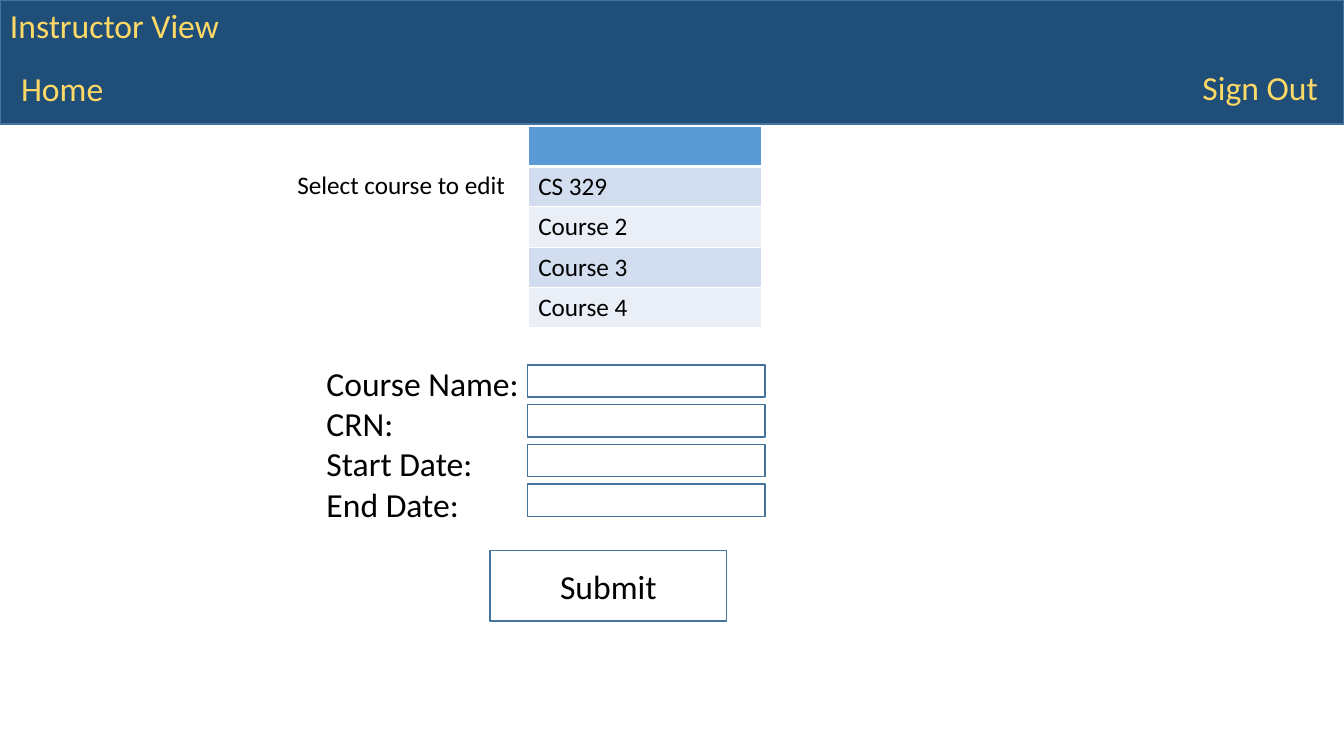
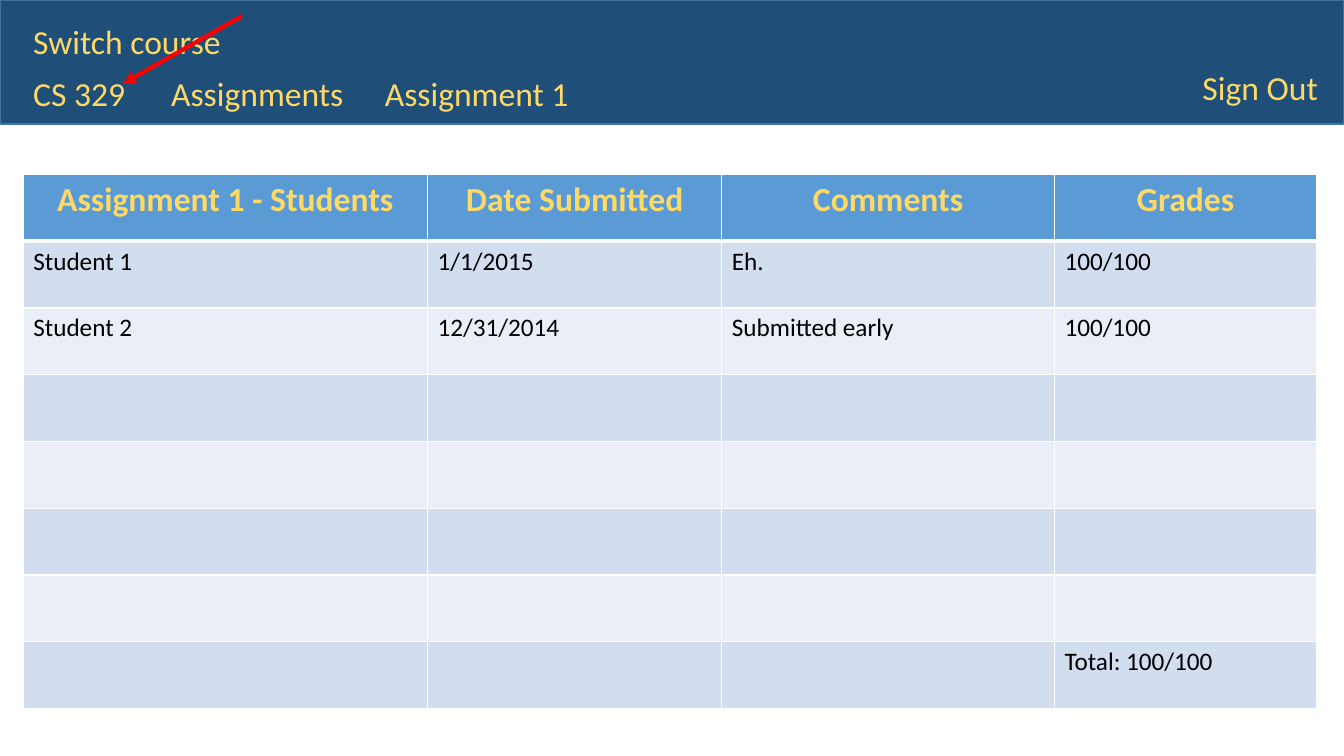
"""Build the instructor's course form and assignment grade slides."""
import pptx
import pptx.util
import pptx.dml.color
import pptx.enum.shapes
import pptx.enum.text
import pptx.oxml
import pptx.oxml.ns
import lxml.etree

COLORS = {
    "band": "1F4E79", "outline": "43739E", "gold": "FFD966", "text": "000000",
    "header": "5B9BD5", "odd": "D2DEEF", "even": "EAEFF7", "white": "FFFFFF", "arrow": "FF0000",
}
RGB = {name: pptx.dml.color.RGBColor.from_string(value) for name, value in COLORS.items()}
ALIGN = pptx.enum.text.PP_ALIGN
SHAPE = pptx.enum.shapes.MSO_SHAPE

prs = pptx.Presentation()
prs.slide_width = pptx.util.Inches(13.33)
prs.slide_height = pptx.util.Inches(7.5)
col, row = prs.slide_width / 100, prs.slide_height / 100


def write(tf, text, size=24, color="text", bold=False, align=ALIGN.LEFT):
    for i, line in enumerate(text.split("\n")):
        p = tf.add_paragraph() if i else tf.paragraphs[0]
        p.alignment = align
        r = p.add_run()
        r.text = line
        r.font.name = "Calibri"
        r.font.size = pptx.util.Pt(size)
        r.font.bold = bold
        r.font.color.rgb = RGB[color]


def add_table(s, x, y, widths, height, rows):
    frame = s.shapes.add_table(len(rows), len(widths), int(x * col), int(y * row),
                               int(sum(widths) * col), int(height * len(rows) * row))
    table = frame.table
    for column, width in zip(table.columns, widths):
        column.width = int(width * col)
    for i, texts in enumerate(rows):
        table.rows[i].height = int(height * row)
        for j, text in enumerate(texts):
            cell = table.cell(i, j)
            tcPr = cell._tc.get_or_add_tcPr()
            for side in "LRTB":
                heavy = (i, side) in ((0, "B"), (1, "T"))
                ln = lxml.etree.SubElement(tcPr, pptx.oxml.ns.qn(f"a:ln{side}"))
                ln.set("w", str(pptx.util.Pt(3 if heavy else 1)))
                fill = lxml.etree.SubElement(ln, pptx.oxml.ns.qn("a:solidFill"))
                lxml.etree.SubElement(fill, pptx.oxml.ns.qn("a:srgbClr")).set("val", COLORS["white"])
            cell.fill.solid()
            cell.fill.fore_color.rgb = RGB["header" if i == 0 else "odd" if i % 2 else "even"]
            if text and i == 0:
                write(cell.text_frame, text, color="gold", bold=True, align=ALIGN.CENTER)
            elif text:
                write(cell.text_frame, text, size=18)


form, grades = [prs.slides.add_slide(prs.slide_layouts[6]) for _ in range(2)]

band = (0, 0, 100, 16.4)
fields = [(39.23, 48.27 + 5.25 * i, 17.7, 4.27) for i in range(4)]
button = (36.45, 72.8, 17.63, 9.33)
boxes = [(form, band, "band", ""), (grades, band, "band", "")]
boxes += [(form, field, None, "") for field in fields]
boxes += [(form, button, None, "Submit")]
for s, (x, y, w, h), fill, text in boxes:
    sp = s.shapes.add_shape(SHAPE.RECTANGLE, int(x * col), int(y * row), int(w * col), int(h * row))
    sp.shadow.inherit = False
    sp.line.color.rgb = RGB["outline"]
    sp.line.width = pptx.util.Pt(1)
    if fill:
        sp.fill.solid()
        sp.fill.fore_color.rgb = RGB[fill]
    else:
        sp.fill.background()
    if text:
        write(sp.text_frame, text, align=ALIGN.CENTER)

labels = [(s, "Sign Out", 88.73, 8.13, 11.25, 24, "gold") for s in (form, grades)]
labels += [
    (form, "Instructor View", 0, 0, 17.25, 24, "gold"),
    (form, "Home", 0.83, 8.27, 7.8, 24, "gold"),
    (form, "Course Name:\nCRN:\nStart Date:\nEnd Date:", 23.55, 47.33, 17.93, 24, "text"),
    (form, "Select course to edit", 21.38, 21.73, 17.93, 18, "text"),
    (grades, "Switch course", 1.73, 2.13, 15.75, 24, "gold"),
    (grades, "CS 329", 1.73, 8.93, 12.3, 24, "gold"),
    (grades, "Assignments", 12, 8.93, 16.8, 24, "gold"),
    (grades, "Assignment 1", 27.9, 8.93, 16.8, 24, "gold"),
]
for s, text, x, y, w, size, color in labels:
    h = 1.33 + 5.4 * size / 24 * len(text.split("\n"))
    sp = s.shapes.add_textbox(int(x * col), int(y * row), int(w * col), int(h * row))
    sp.text_frame.word_wrap = True
    write(sp.text_frame, text, size=size, color=color)

courses = ["", "CS 329", "Course 2", "Course 3", "Course 4"]
add_table(form, 39.3, 16.67, [17.4], 5.33, [[course] for course in courses])

add_table(grades, 1.73, 23.07, [30.08, 21.9, 24.75, 19.5], 8.83, [
    ["Assignment 1 - Students", "Date Submitted", "Comments", "Grades"],
    ["Student 1", "1/1/2015", "Eh.", "100/100"],
    ["Student 2", "12/31/2014", "Submitted early", "100/100"],
    *[[""] * 4 for _ in range(4)],
    ["", "", "", "Total: 100/100"],
])

arrow = grades.shapes.add_connector(pptx.enum.shapes.MSO_CONNECTOR.STRAIGHT,
                                    int(18 * col), int(2.13 * row), int(9.15 * col), int(11.07 * row))
arrow.line.color.rgb = RGB["arrow"]
arrow.line.width = pptx.util.Pt(3)
tail = lxml.etree.SubElement(arrow.line._get_or_add_ln(), pptx.oxml.ns.qn("a:tailEnd"))
tail.set("type", "triangle")
lxml.etree.SubElement(arrow._element.spPr, pptx.oxml.ns.qn("a:effectLst"))

prs.save("out.pptx")
